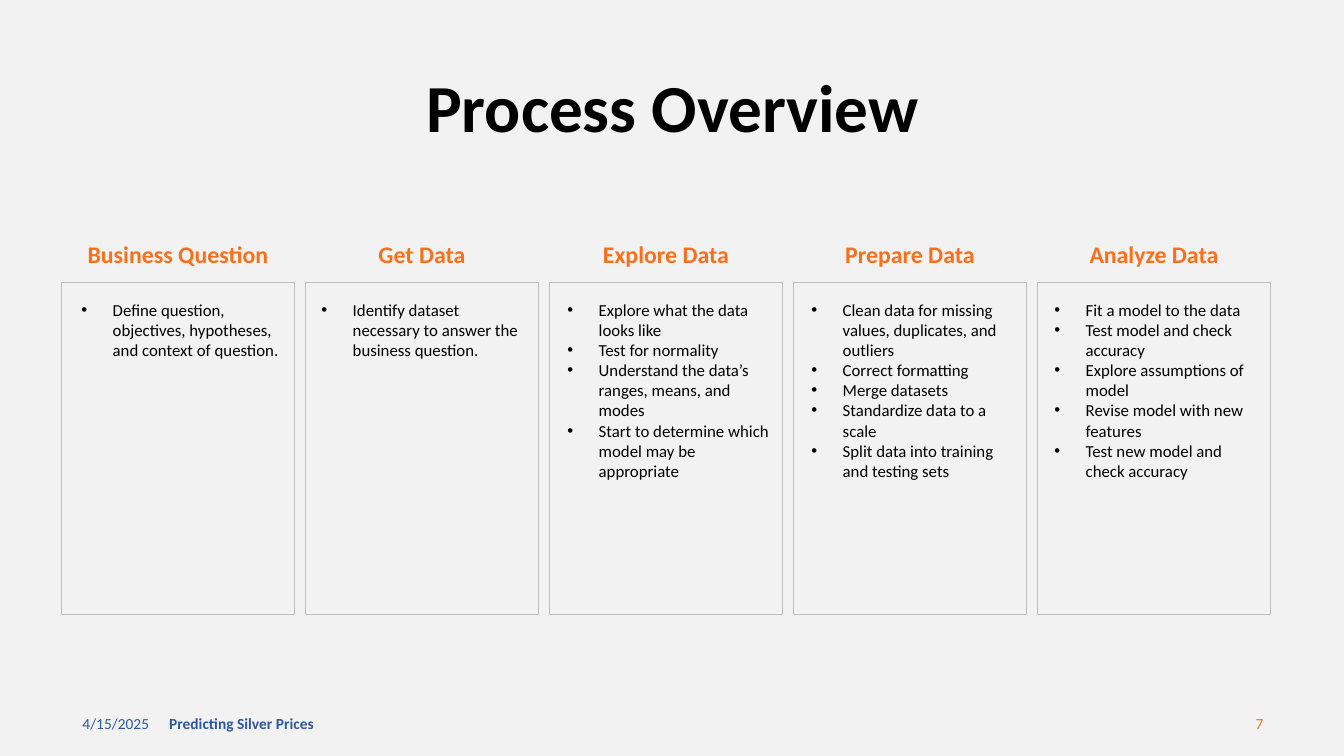
import lxml.etree
import pptx
import pptx.dml.color
import pptx.enum.shapes
import pptx.enum.text
import pptx.oxml.ns
import pptx.util

Inches = pptx.util.Inches
ALIGN = pptx.enum.text.PP_ALIGN
COLORS = {
    "background": "F2F2F2",
    "text": "000000",
    "accent": "FA6F1A",
    "footer": "2C599D",
    "border": "BFBFBF",
}
SLIDE_WIDTH, SLIDE_HEIGHT = 13.33, 7.5
GRID_LEFT, COLUMN_PITCH, COLUMN_WIDTH = 0.61, 2.42, 2.31
HEADING_TOP, HEADING_HEIGHT = 2.26, 0.55
PANEL_TOP, PANEL_HEIGHT = 2.8, 3.3
LIST_TOP, LIST_WIDTH, LIST_HEIGHT = 2.92, 2.11, 3.09
FOOTER_TOP, FOOTER_HEIGHT = 6.98, 0.4
BULLET_INDENT = 0.31

# Heading, left inset of the list in its panel, list items
STEPS = [
    ("Business Question", 0.1, [
        "Define question, objectives, hypotheses, and context of question.",
    ]),
    ("Get Data", 0.06, [
        "Identify dataset necessary to answer the business question.",
    ]),
    ("Explore Data", 0.08, [
        "Explore what the data looks like",
        "Test for normality",
        "Understand the data’s ranges, means, and modes",
        "Start to determine which model may be appropriate",
    ]),
    ("Prepare Data", 0.08, [
        "Clean data for missing values, duplicates, and outliers",
        "Correct formatting",
        "Merge datasets",
        "Standardize data to a scale",
        "Split data into training and testing sets",
    ]),
    ("Analyze Data", 0.07, [
        "Fit a model to the data",
        "Test model and check accuracy",
        "Explore assumptions of model",
        "Revise model with new features",
        "Test new model and check accuracy",
    ]),
]

# Left, width, text, colour, bold, alignment
FOOTERS = [
    (0.72, 3, "4/15/2025", "footer", False, ALIGN.LEFT),
    (1.58, 4.5, "Predicting Silver Prices", "footer", True, ALIGN.LEFT),
    (9.63, 3, "7", "accent", False, ALIGN.RIGHT),
]


def rgb(name):
    return pptx.dml.color.RGBColor.from_string(COLORS[name])


def set_values(target, values):
    for name, value in values.items():
        setattr(target, name, value)


def place(left, top, width, height):
    return [Inches(length) for length in (left, top, width, height)]


def format_font(font, size, color, bold=False):
    set_values(font, {"name": "Calibri", "size": pptx.util.Pt(size), "bold": bold})
    font.color.rgb = rgb(color)


def write_line(box, text, size, color, bold, align, spacing=1.0):
    """Fill a box with one vertically centred line."""
    frame = box.text_frame
    set_values(frame, {
        "word_wrap": True,
        "auto_size": pptx.enum.text.MSO_AUTO_SIZE.NONE,
        "vertical_anchor": pptx.enum.text.MSO_ANCHOR.MIDDLE,
    })
    para = frame.paragraphs[0]
    set_values(para, {"alignment": align, "line_spacing": spacing})
    span = para.add_run()
    span.text = text
    format_font(span.font, size, color, bold)


def add_title(page, text):
    title = page.shapes.title
    bounds = place(0.47, 0.71, 12.4, 0.77)
    set_values(title, dict(zip(("left", "top", "width", "height"), bounds)))
    write_line(title, text, 48, "text", True, ALIGN.CENTER, 0.9)


def add_panel(page, left):
    panel = page.shapes.add_shape(
        pptx.enum.shapes.MSO_SHAPE.RECTANGLE,
        *place(left, PANEL_TOP, COLUMN_WIDTH, PANEL_HEIGHT))
    panel.shadow.inherit = False
    panel.fill.background()
    panel.line.color.rgb = rgb("border")
    panel.line.width = pptx.util.Pt(1)


def add_heading(page, left, text):
    box = page.shapes.add_textbox(
        *place(left, HEADING_TOP, COLUMN_WIDTH, HEADING_HEIGHT))
    write_line(box, text, 17, "accent", True, ALIGN.CENTER, 0.9)


def add_bullet(para):
    properties = para._p.get_or_add_pPr()
    indent = Inches(BULLET_INDENT)
    properties.set("marL", str(indent))
    properties.set("indent", str(-indent))
    for tag, key, value in (("a:buFont", "typeface", "Arial"),
                            ("a:buChar", "char", "•")):
        lxml.etree.SubElement(properties, pptx.oxml.ns.qn(tag)).set(key, value)


def add_list(page, left, items):
    box = page.shapes.add_textbox(*place(left, LIST_TOP, LIST_WIDTH, LIST_HEIGHT))
    frame = box.text_frame
    set_values(frame, {"word_wrap": True, "margin_right": 0})
    for index, item in enumerate(items):
        para = frame.add_paragraph() if index else frame.paragraphs[0]
        add_bullet(para)
        span = para.add_run()
        span.text = item
        format_font(span.font, 12, "text")


def add_footer(page, left, width, *line):
    box = page.shapes.add_textbox(*place(left, FOOTER_TOP, width, FOOTER_HEIGHT))
    text, color, bold, align = line
    write_line(box, text, 11, color, bold, align)


def main():
    deck = pptx.Presentation()
    set_values(deck, {"slide_width": Inches(SLIDE_WIDTH),
                      "slide_height": Inches(SLIDE_HEIGHT)})
    page = deck.slides.add_slide(deck.slide_layouts.get_by_name("Title Only"))
    page.background.fill.solid()
    page.background.fill.fore_color.rgb = rgb("background")

    add_title(page, "Process Overview")
    for column, (heading, inset, items) in enumerate(STEPS):
        left = GRID_LEFT + column * COLUMN_PITCH
        add_panel(page, left)
        add_heading(page, left, heading)
        add_list(page, left + inset, items)
    for footer in FOOTERS:
        add_footer(page, *footer)
    deck.save("out.pptx")


if __name__ == "__main__":
    main()
